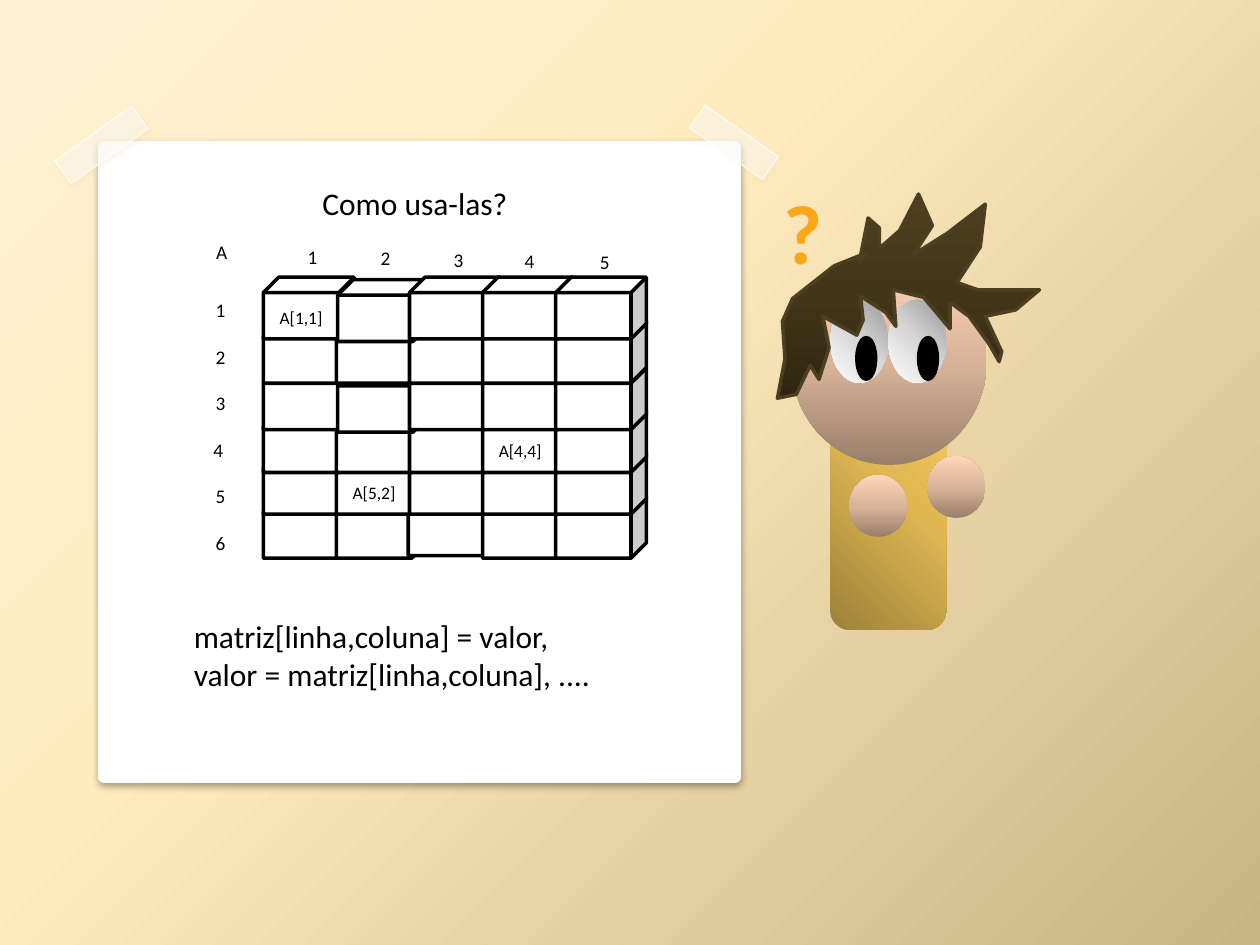
from dataclasses import dataclass
from typing import NamedTuple

import pptx
import pptx.dml.color
import pptx.enum.shapes
import pptx.enum.text
import pptx.oxml.ns
import pptx.util
from lxml import etree

Inches, Pt = pptx.util.Inches, pptx.util.Pt
SHAPE = pptx.enum.shapes.MSO_SHAPE
ALIGN = pptx.enum.text.PP_ALIGN
qn = pptx.oxml.ns.qn


class Box(NamedTuple):
    left: float
    top: float
    width: float
    height: float

    def lengths(self):
        return [Inches(value) for value in self]


class Gradient(NamedTuple):
    stops: tuple
    angle: int = 0
    focus: tuple = ()  # left, top, right, bottom in percent


class Shadow(NamedTuple):
    color: str
    alpha: int
    blur: float
    distance: float
    angle: int


@dataclass(frozen=True)
class Theme:
    font: str = "Calibri"
    ink: str = "000000"
    paper: str = "FFFFFF"
    tape: str = "FBFBFB"
    question: str = "FFA618"
    hair_line: str = "4B3E21"
    body_size: int = 18
    label_size: int = 11
    cell_size: int = 10
    question_size: int = 48
    backdrop: Gradient = Gradient(((0, "FFF1D3"), (40, "FFEBBE"), (100, "C9B484")), focus=(-24, -20, 124, 120))
    shirt: Gradient = Gradient(((0, "9D8139"), (50, "E0B752"), (100, "FFD56B")), 315)
    skin: Gradient = Gradient(((0, "997F6B"), (50, "D9B499"), (100, "FFD6B8")), 270)
    eye: Gradient = Gradient(((0, "979797"), (50, "D7D7D7"), (100, "FFFFFF")), focus=(100, 0, 0, 100))
    hair: Gradient = Gradient(((0, "2E2612"), (50, "423619"), (100, "4E401E")), 270)


THEME = Theme()

# Outline of the hair, starting at the right tuft and running over the top
HAIR = [
    (7.61, 2.22), (7.78, 1.96), (7.82, 1.62), (7.52, 1.85), (7.25, 2.02), (7.4, 1.79), (7.29, 1.54),
    (7.14, 1.83), (6.98, 1.97), (6.98, 1.81), (6.89, 1.73), (6.82, 2.08), (6.87, 2.01), (6.62, 2.11),
    (6.29, 2.37), (6.21, 2.55), (6.23, 2.85), (6.17, 3.16), (6.32, 3.13), (6.43, 2.9), (6.5, 3.01),
    (6.58, 2.76), (6.53, 2.51), (6.8, 2.66), (6.85, 2.54), (6.83, 2.35), (7.03, 2.48), (7.11, 2.59),
    (7.09, 2.3), (7.33, 2.36), (7.54, 2.61), (7.54, 2.4), (7.69, 2.51), (7.85, 2.73), (7.93, 2.87),
    (7.95, 2.79), (7.82, 2.51), (8.06, 2.46), (8.25, 2.3), (7.76, 2.3), (7.59, 2.24),
]


def rgb(value: str):
    return pptx.dml.color.RGBColor.from_string(value)


def add_color(parent, value: str, alpha: int = 100) -> None:
    color = etree.SubElement(parent, qn("a:srgbClr"), val=value)
    if alpha < 100:
        etree.SubElement(color, qn("a:alpha"), val=str(alpha * 1000))


def set_gradient(element, fill, gradient: Gradient) -> None:
    fill.gradient()
    node = next(element.iter(qn("a:gradFill")))
    for child in list(node):
        node.remove(child)
    stops = etree.SubElement(node, qn("a:gsLst"))
    for position, color in gradient.stops:
        add_color(etree.SubElement(stops, qn("a:gs"), pos=str(position * 1000)), color)
    if gradient.focus:
        focus = etree.SubElement(node, qn("a:path"), path="circle")
        sides = {side: str(value * 1000) for side, value in zip("ltrb", gradient.focus)}
        etree.SubElement(focus, qn("a:fillToRect"), sides)
    else:
        etree.SubElement(node, qn("a:lin"), ang=str(gradient.angle * 60000), scaled="0")


def paint(shape, fill, line: str = "", width: float = 2) -> None:
    shape.shadow.inherit = False
    if isinstance(fill, Gradient):
        set_gradient(shape._element, shape.fill, fill)
    else:
        shape.fill.solid()
        shape.fill.fore_color.rgb = rgb(fill)
    if line:
        shape.line.color.rgb = rgb(line)
        shape.line.width = Pt(width)
    else:
        shape.line.fill.background()


def add_figure(page, kind, box: Box, fill, line: str = "", width: float = 2):
    shape = page.shapes.add_shape(kind, *box.lengths())
    paint(shape, fill, line, width)
    return shape


def cast_shadow(shape, shadow: Shadow) -> None:
    effects = shape._element.spPr.find(qn("a:effectLst"))
    outer = etree.SubElement(effects, qn("a:outerShdw"), blurRad=str(Pt(shadow.blur)),
                             dist=str(Pt(shadow.distance)), dir=str(shadow.angle * 60000), rotWithShape="0")
    add_color(outer, shadow.color, shadow.alpha)


def write(shape, lines: list, size: int, color: str = THEME.ink, bold: bool = False, label: bool = False) -> None:
    frame = shape.text_frame
    for index, line in enumerate(lines):
        para = frame.paragraphs[0] if index == 0 else frame.add_paragraph()
        span = para.add_run()
        span.text = line
        span.font.color.rgb = rgb(color)
        for name, value in {"name": THEME.font, "size": Pt(size), "bold": bold}.items():
            setattr(span.font, name, value)
        if label:
            for name, value in {"alignment": ALIGN.CENTER, "line_spacing": 1.15, "space_after": Pt(10)}.items():
                setattr(para, name, value)


def add_text(page, box: Box, lines: list, size: int, wrap: bool = True, **style) -> None:
    shape = page.shapes.add_textbox(*box.lengths())
    shape.text_frame.word_wrap = wrap
    write(shape, lines, size, **style)


def draw_paper(page) -> None:
    sheet = add_figure(page, SHAPE.RECTANGLE, Box(0.83, 1.17, 5, 5), THEME.paper, THEME.paper, 7)
    cast_shadow(sheet, Shadow("000000", 35, 4.4, 1.5, 90))
    tapes = [(Box(0.43, 1.04, 0.75, 0.22), 324.5, Shadow("EBDAB2", 40, 2, 2, 55)),
             (Box(5.47, 1.02, 0.71, 0.22), 35.1, Shadow("E7DEC9", 20, 2, 2, 55))]
    for box, rotation, shadow in tapes:
        tape = add_figure(page, SHAPE.FLOWCHART_PROCESS, box, THEME.tape, THEME.paper, 0.5)
        tape.rotation = rotation
        color = tape._element.spPr.find(qn("a:solidFill"))[0]
        etree.SubElement(color, qn("a:alpha"), val="45000")
        cast_shadow(tape, shadow)


def draw_thinker(page) -> None:
    add_text(page, Box(6.12, 1.38, 0.41, 0.91), ["?"], THEME.question_size, color=THEME.question, bold=True)
    add_figure(page, SHAPE.ROUNDED_RECTANGLE, Box(6.59, 2.54, 0.92, 2.46), THEME.shirt)
    add_figure(page, SHAPE.OVAL, Box(6.28, 2.05, 1.55, 1.64), THEME.skin)
    for eye_left, pupil_left in ((6.59, 6.8), (7.05, 7.29)):
        add_figure(page, SHAPE.OVAL, Box(eye_left, 2.38, 0.46, 0.66), THEME.eye)
        add_figure(page, SHAPE.OVAL, Box(pupil_left, 2.68, 0.15, 0.33), THEME.ink, THEME.ink)
    points = [(Inches(x), Inches(y)) for x, y in HAIR]
    outline = page.shapes.build_freeform(*points[0])
    outline.add_line_segments(points[1:], close=True)
    paint(outline.convert_to_shape(), THEME.hair, THEME.hair_line)
    for left, top in ((6.74, 3.77), (7.36, 3.62)):
        add_figure(page, SHAPE.OVAL, Box(left, top, 0.46, 0.49), THEME.skin)


def draw_matrix(page) -> None:
    lefts = [2.09 + 0.58 * column for column in range(5)]
    tops = [2.2, 2.55, 2.92, 3.26, 3.59, 3.94]
    values = {(1, 1): "A[1,1]", (4, 4): "A[4,4]", (5, 2): "A[5,2]"}
    nudges = {(1, 2): 0.02, (3, 2): 0.02, (6, 3): -0.02}
    # Bottom row first, so that each row covers the top faces below it
    for row, top in reversed(list(enumerate(tops, 1))):
        for column, left in enumerate(lefts, 1):
            nudge = nudges.get((row, column), 0)
            box = Box(left + nudge / 2, top + nudge, 0.72, 0.49)
            cube = add_figure(page, SHAPE.CUBE, box, THEME.paper, THEME.ink)
            if (row, column) in values:
                cube.text_frame.vertical_anchor = pptx.enum.text.MSO_ANCHOR.MIDDLE
                write(cube, [values[row, column]], THEME.cell_size, label=True)
    # Matrix name, column numbers and row numbers
    numbers = ["1", "2", "3", "4 ", "5", "6"]
    labels = [("A", 1.4, 1.83)]
    labels += [(number, left + 0.03, 1.87 + 0.01 * index)
               for index, (number, left) in enumerate(zip(numbers, lefts))]
    labels += [(number, 1.39, 2.29 + 0.37 * index) for index, number in enumerate(numbers)]
    for text, left, top in labels:
        add_text(page, Box(left, top, 0.72, 0.39), [text], THEME.label_size, label=True)


def main() -> None:
    deck = pptx.Presentation()
    deck.slide_width, deck.slide_height = Inches(10), Inches(7.5)
    page = deck.slides.add_slide(deck.slide_layouts[6])
    set_gradient(page._element, page.background.fill, THEME.backdrop)
    draw_paper(page)
    add_text(page, Box(2.46, 1.41, 1.69, 0.4), ["Como usa-las?"], THEME.body_size, wrap=False)
    draw_thinker(page)
    draw_matrix(page)
    usage = ["matriz[linha,coluna] = valor,", "valor = matriz[linha,coluna], ...."]
    add_text(page, Box(1.44, 4.85, 3.75, 0.71), usage, THEME.body_size)
    deck.save("out.pptx")


if __name__ == "__main__":
    main()
